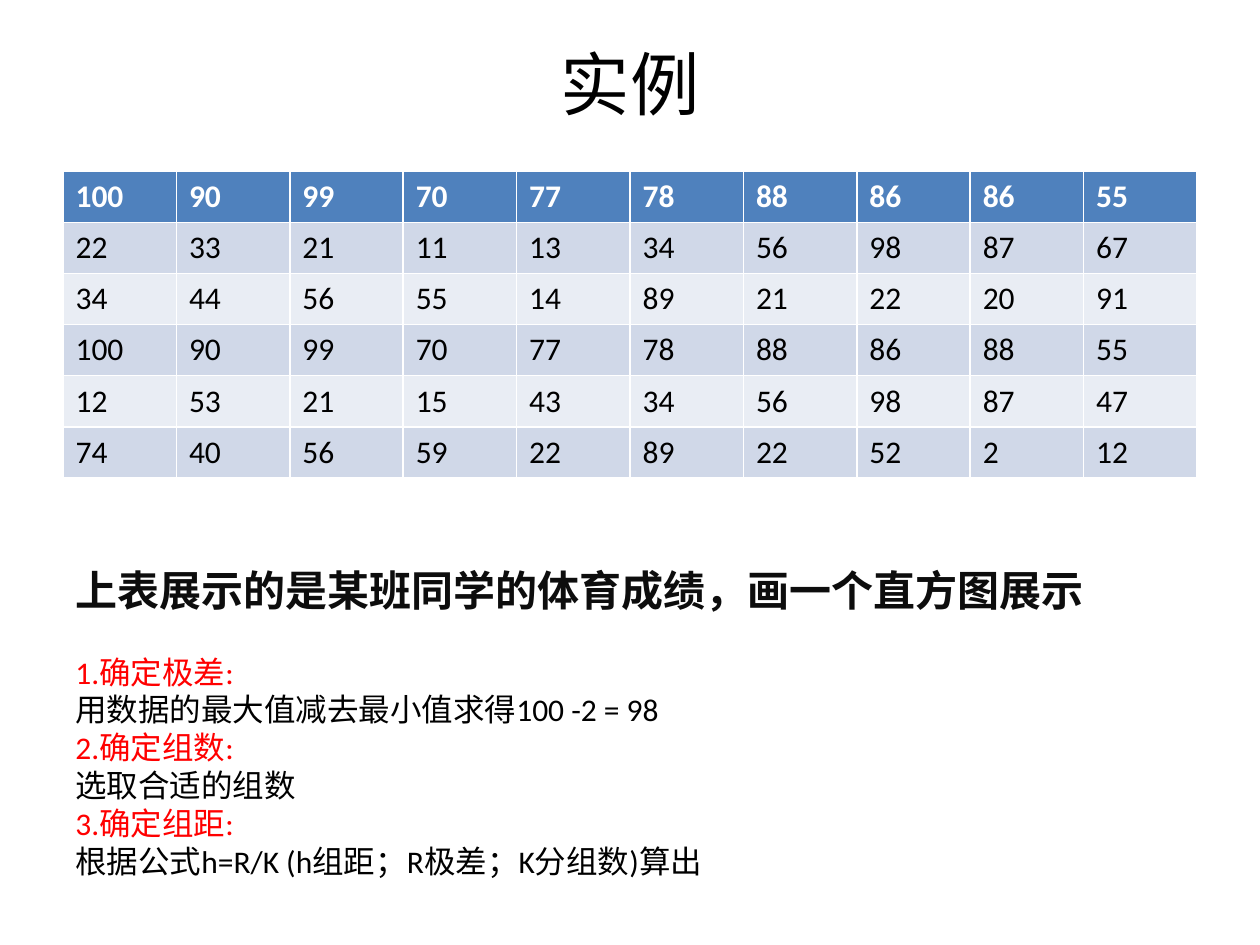
from dataclasses import dataclass
from typing import Any

from pptx import Presentation
from pptx.dml.color import RGBColor
from pptx.enum.text import MSO_ANCHOR as Anchor, PP_ALIGN as Align
from pptx.util import Inches, Pt

WIDTH, HEIGHT = 10, 7.5
MARGIN = 0.05 * WIDTH
CONTENT_W = WIDTH - 2 * MARGIN
FONT = "Calibri"
BLACK, WHITE, RED = "000000", "FFFFFF", "FF0000"
HEADER_FILL = "4F81BD"
BAND_FILLS = ("E9EDF4", "D0D8E8")


@dataclass
class Line:
    text: str
    color: str = BLACK
    size: float = 18
    bold: bool = False
    after: float = 0
    align: Any = Align.LEFT


SCORES = [
    [100, 90, 99, 70, 77, 78, 88, 86, 86, 55],
    [22, 33, 21, 11, 13, 34, 56, 98, 87, 67],
    [34, 44, 56, 55, 14, 89, 21, 22, 20, 91],
    [100, 90, 99, 70, 77, 78, 88, 86, 88, 55],
    [12, 53, 21, 15, 43, 34, 56, 98, 87, 47],
    [74, 40, 56, 59, 22, 89, 22, 52, 2, 12],
]
TASK = Line("上表展示的是某班同学的体育成绩，画一个直方图展示", "0D0D0D", 24, True, 21.6)
STEPS = [
    ("1.确定极差:", "用数据的最大值减去最小值求得100 -2 = 98"),
    ("2.确定组数:", "选取合适的组数"),
    ("3.确定组距:", "根据公式h=R/K (h组距；R极差；K分组数)算出"),
]


def rgb(value: str) -> RGBColor:
    return RGBColor.from_string(value)


def set_all(target: Any, values: dict[str, Any]) -> None:
    for name, value in values.items():
        setattr(target, name, value)


def place(shape: Any, top: float, height: float) -> None:
    set_all(shape, {"left": Inches(MARGIN), "top": Inches(top),
                    "width": Inches(CONTENT_W), "height": Inches(height)})


def write(tf: Any, lines: list[Line]) -> None:
    for i, line in enumerate(lines):
        p = tf.add_paragraph() if i else tf.paragraphs[0]
        set_all(p, {"alignment": line.align, "space_after": Pt(line.after)})
        r = p.add_run()
        r.text = line.text
        set_all(r.font, {"name": FONT, "size": Pt(line.size), "bold": line.bold})
        r.font.color.rgb = rgb(line.color)


def add_scores(s: Any, top: float, height: float) -> None:
    rows, cols = len(SCORES), len(SCORES[0])
    table = s.shapes.add_table(rows, cols, Inches(MARGIN), Inches(top),
                               Inches(CONTENT_W), Inches(height)).table
    for i, scores in enumerate(SCORES):
        header = i == 0
        for j, score in enumerate(scores):
            cell = table.cell(i, j)
            cell.fill.solid()
            cell.fill.fore_color.rgb = rgb(HEADER_FILL if header else BAND_FILLS[i % 2])
            write(cell.text_frame,
                  [Line(str(score), WHITE if header else BLACK, bold=header)])


def add_explanation(s: Any, top: float, height: float) -> None:
    sp = s.shapes.add_textbox(0, 0, 0, 0)
    place(sp, top, height)
    sp.text_frame.word_wrap = True
    lines = [TASK]
    for heading, detail in STEPS:
        lines += [Line(heading, RED), Line(detail)]
    write(sp.text_frame, lines)


prs = Presentation()
set_all(prs, {"slide_width": Inches(WIDTH), "slide_height": Inches(HEIGHT)})
s = prs.slides.add_slide(prs.slide_layouts[5])
title = s.shapes.title
place(title, 0.3, 0.72)
title.text_frame.vertical_anchor = Anchor.MIDDLE
write(title.text_frame, [Line("实例", size=39.6, align=Align.CENTER)])
add_scores(s, 1.36, 2.43)
add_explanation(s, 4.43, 2.63)
prs.save("out.pptx")
